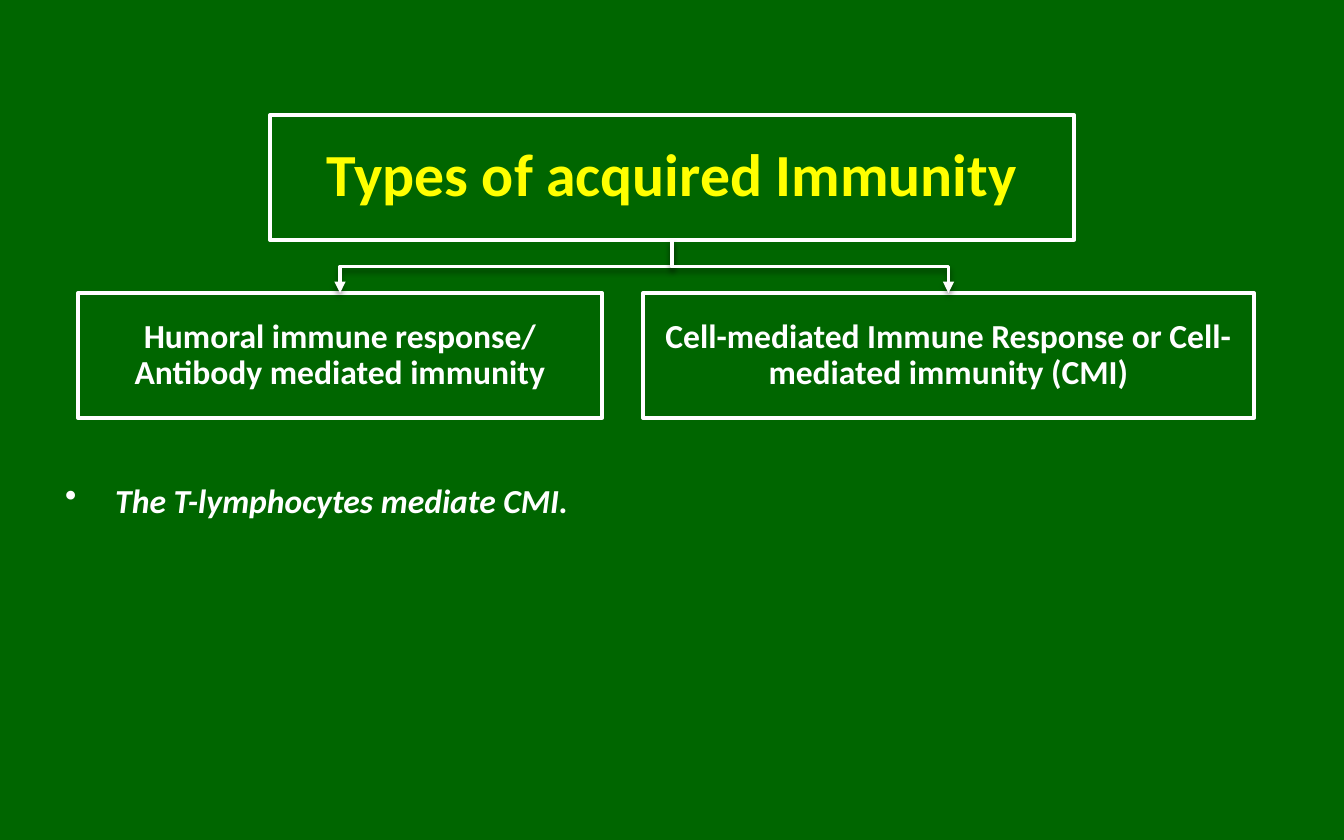
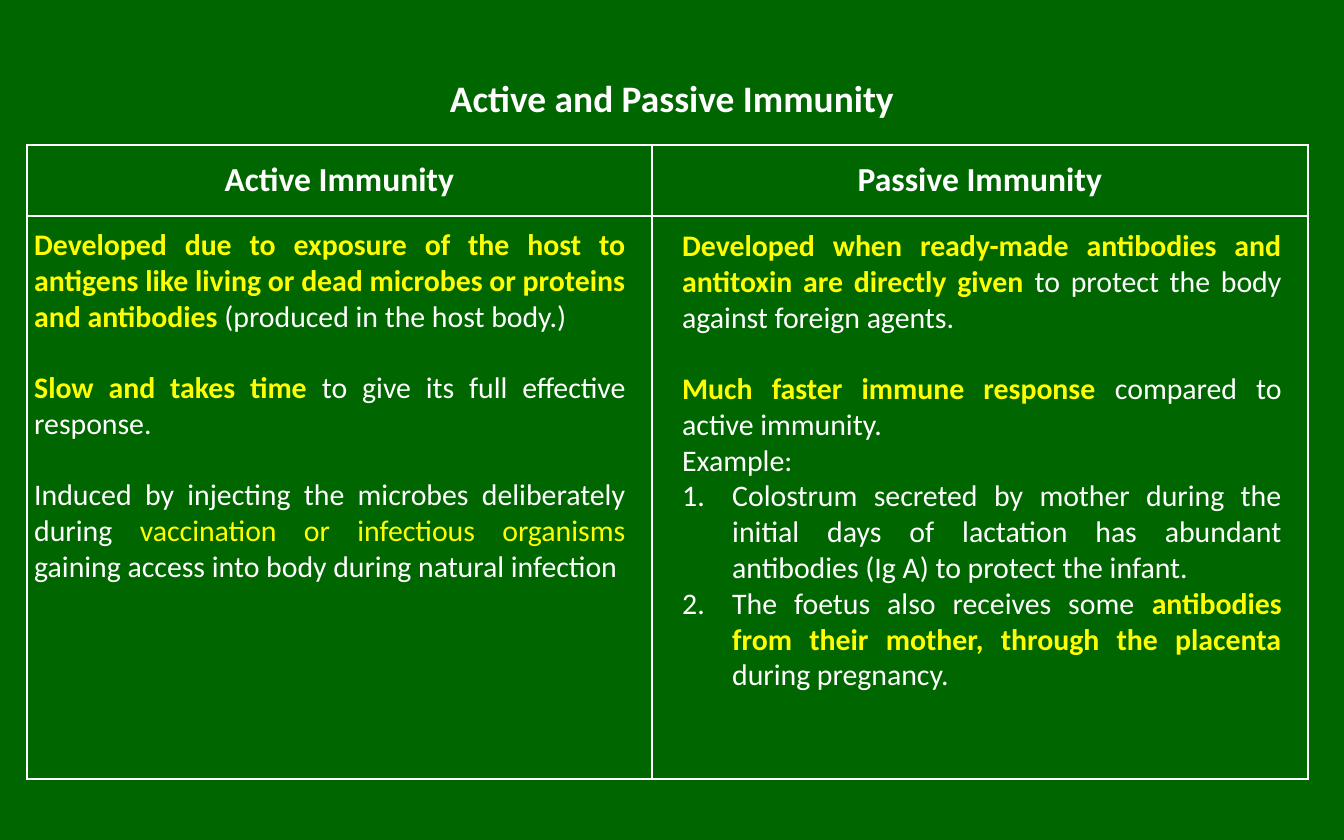
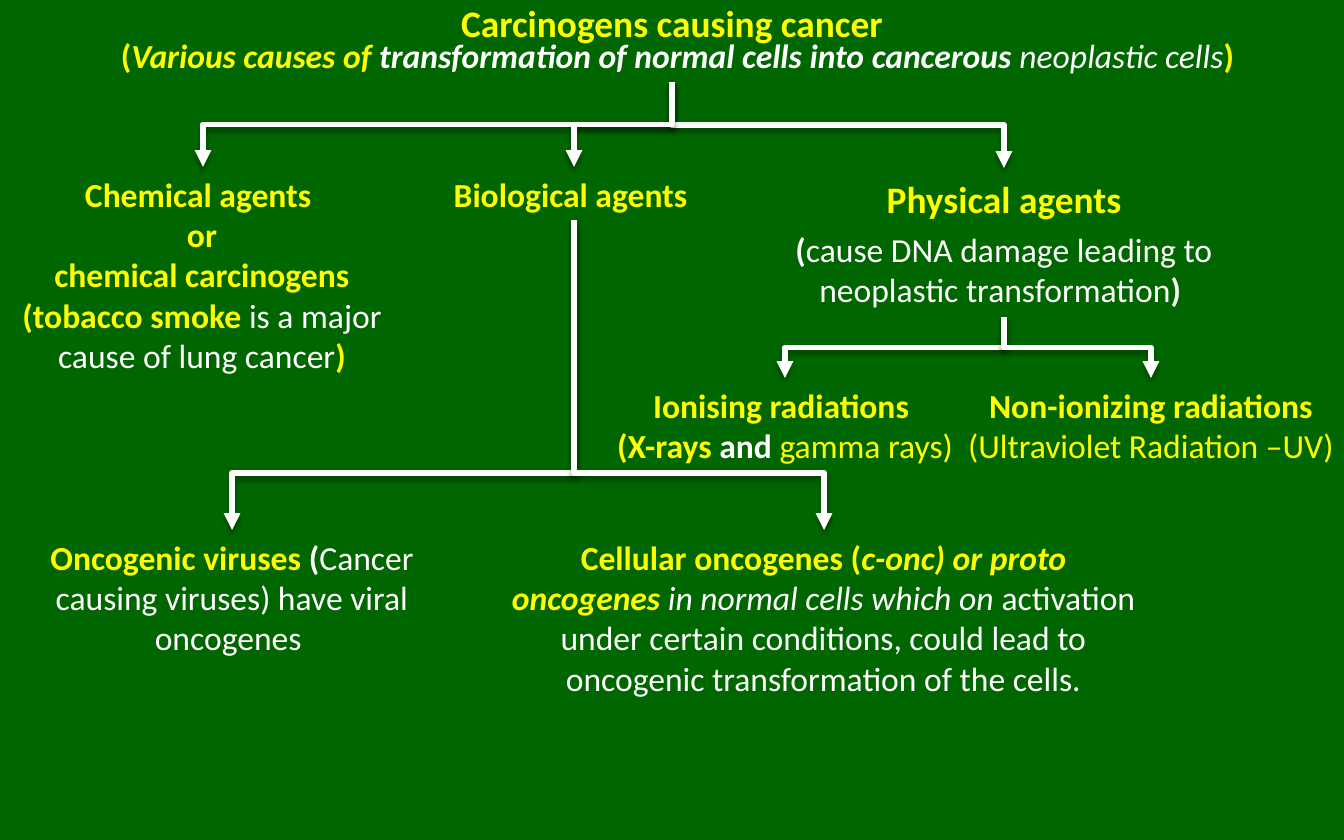
from typing import NamedTuple

from lxml import etree
from pptx import Presentation
from pptx.dml.color import RGBColor
from pptx.enum.shapes import MSO_CONNECTOR, MSO_SHAPE
from pptx.enum.text import MSO_ANCHOR, PP_ALIGN
from pptx.oxml.ns import qn
from pptx.util import Emu, Pt

ELBOW = MSO_CONNECTOR.ELBOW
RECTANGLE = MSO_SHAPE.RECTANGLE
TOP, MIDDLE = MSO_ANCHOR.TOP, MSO_ANCHOR.MIDDLE
CENTER, JUSTIFY = PP_ALIGN.CENTER, PP_ALIGN.JUSTIFY

GREEN = RGBColor(0x00, 0x66, 0x00)
YELLOW = RGBColor(0xFF, 0xFF, 0x00)
WHITE = RGBColor(0xFF, 0xFF, 0xFF)
BLACK = RGBColor(0x00, 0x00, 0x00)
FONT = "Calibri"
PAGE_WIDTH, PAGE_HEIGHT = 1344, 840
INDENT = 50


class Style(NamedTuple):
    color: RGBColor
    bold: bool = False
    italic: bool = False


KEY = Style(YELLOW, bold=True)
KEY_ITALIC = Style(YELLOW, bold=True, italic=True)
KEY_LIGHT = Style(YELLOW)
STRONG = Style(WHITE, bold=True)
STRONG_ITALIC = Style(WHITE, bold=True, italic=True)
PLAIN = Style(WHITE)
PLAIN_ITALIC = Style(WHITE, italic=True)


class Para(NamedTuple):
    spans: list
    size: int = 18
    before: int = 0
    bullet: tuple = ()


def px(length):
    return Emu(round(length * 914400 / 134.4))


def add_xml(parent, tag, **attributes):
    return etree.SubElement(parent, qn(tag), attributes)


# Shared parts

def add_page(deck):
    page = deck.slides.add_slide(deck.slide_layouts[6])
    page.background.fill.solid()
    page.background.fill.fore_color.rgb = GREEN
    return page


def style_font(font, style):
    font.color.rgb = style.color
    font.bold = style.bold
    font.italic = style.italic


def write_text(frame, paras, align=CENTER, anchor=TOP, line_spacing=None):
    frame.word_wrap = True
    frame.vertical_anchor = anchor
    for index, item in enumerate(paras):
        para = frame.add_paragraph() if index else frame.paragraphs[0]
        para.alignment = align
        if line_spacing:
            para.line_spacing = line_spacing
        if item.before:
            para.space_before = Pt(item.before)
        if item.bullet:
            tag, attributes = item.bullet
            properties = para._p.get_or_add_pPr()
            properties.set("marL", str(px(INDENT)))
            properties.set("indent", str(-px(INDENT)))
            add_xml(properties, tag, **attributes)
        para.font.name = FONT
        para.font.size = Pt(item.size)
        for text, style in item.spans:
            span = para.add_run()
            span.text = text
            style_font(para.font if len(item.spans) == 1 else span.font, style)


def add_text(page, box, paras, **layout):
    text_box = page.shapes.add_textbox(*map(px, box))
    write_text(text_box.text_frame, paras, **layout)
    return text_box


def add_branch(page, start, end, weight, bend=0.5):
    """Arrow that leaves downwards, turns sideways and ends downwards."""
    (start_x, start_y), (end_x, end_y) = start, end
    drop, reach = end_y - start_y, abs(end_x - start_x)
    # The elbow is laid out sideways about its centre, then turned
    left = (start_x + end_x - drop) / 2
    top = (start_y + end_y - reach) / 2
    branch = page.shapes.add_connector(
        ELBOW, px(left), px(top), px(left + drop), px(top + reach))
    branch.line.color.rgb = WHITE
    branch.line.width = Pt(weight)
    properties = branch._element.spPr
    frame = properties.find(qn("a:xfrm"))
    if end_x < start_x:
        frame.set("rot", "5400000")
    else:
        frame.set("rot", "16200000")
        frame.set("flipH", "1")
    guides = properties.find(qn("a:prstGeom")).find(qn("a:avLst"))
    add_xml(guides, "a:gd", name="adj1", fmla=f"val {round(bend * 100000)}")
    add_xml(properties.find(qn("a:ln")), "a:tailEnd", type="triangle")
    effects = add_xml(properties, "a:effectLst")
    shadow = add_xml(effects, "a:outerShdw", blurRad=str(Pt(3)),
                     dist=str(Pt(2)), dir="5400000", rotWithShape="0")
    color = add_xml(shadow, "a:srgbClr", val=str(BLACK))
    add_xml(color, "a:alpha", val="36000")


# Types of acquired immunity

def add_node(page, box, text, size, style):
    node = page.shapes.add_shape(RECTANGLE, *map(px, box))
    node.shadow.inherit = False
    node.fill.background()
    node.line.color.rgb = WHITE
    node.line.width = Pt(2)
    frame = node.text_frame
    frame.margin_left = frame.margin_right = px(2)
    frame.margin_top = frame.margin_bottom = px(2)
    write_text(frame, [Para([(text, style)], size)], anchor=MIDDLE,
               line_spacing=0.9)


def add_types_tree(page, box):
    left, top, width, height = box
    node_height = 125
    root_x, root_width = left + 192, 804
    child_y = top + height - node_height
    children = [
        (left, 524, "Humoral immune response/ Antibody mediated immunity"),
        (left + width - 611, 611,
         "Cell-mediated Immune Response or Cell-mediated immunity (CMI)"),
    ]
    add_node(page, (root_x, top, root_width, node_height),
             "Types of acquired Immunity", 32, KEY)
    for child_x, child_width, text in children:
        add_node(page, (child_x, child_y, child_width, node_height),
                 text, 18, STRONG)
        add_branch(page, (root_x + root_width / 2, top + node_height),
                   (child_x + child_width / 2, child_y), 2)


def build_types_page(deck):
    page = add_page(deck)
    add_text(page, (52, 473, 1292, 212), [
        Para([("The T-lymphocytes mediate CMI. ", STRONG_ITALIC)],
             bullet=("a:buChar", {"char": "•"})),
    ], align=JUSTIFY)
    add_types_tree(page, (78, 115, 1176, 303))


# Active and passive immunity

def outline_cell(cell):
    properties = cell._tc.get_or_add_tcPr()
    for side in ("a:lnL", "a:lnR", "a:lnT", "a:lnB"):
        line = add_xml(properties, side, w=str(Pt(1)))
        add_xml(add_xml(line, "a:solidFill"), "a:srgbClr", val=str(WHITE))
    cell.fill.background()


def add_comparison_table(page, box, widths, heights, headings):
    table = page.shapes.add_table(
        len(heights), len(widths), *map(px, box)).table
    table.first_row = table.horz_banding = False
    for column, width in zip(table.columns, widths):
        column.width = px(width)
    for row, height in zip(table.rows, heights):
        row.height = px(height)
    for cell in table.iter_cells():
        outline_cell(cell)
    for cell, heading in zip(table.rows[0].cells, headings):
        cell.vertical_anchor = MIDDLE
        write_text(cell.text_frame, [Para([(heading, STRONG)])],
                   anchor=MIDDLE)


def build_comparison_page(deck):
    page = add_page(deck)
    add_text(page, (67, 61, 1210, 74),
             [Para([("Active and Passive Immunity", STRONG)], 20)],
             anchor=MIDDLE)
    add_comparison_table(page, (27, 145, 1281, 634), (625, 656), (71, 563),
                         ("Active Immunity", "Passive Immunity"))
    line_gap = 19
    number = ("a:buAutoNum", {"type": "arabicPeriod"})
    active = [
        Para([("Developed due to exposure of the host to antigens like living "
               "or dead microbes or proteins and antibodies", KEY),
              (" (produced in the host body.) ", PLAIN)], 16),
        Para([("Slow and takes time ", KEY),
              ("to give its full effective response. ", PLAIN)],
             16, line_gap),
        Para([("Induced by injecting the microbes deliberately during ",
               PLAIN),
              ("vaccination or infectious organisms", KEY_LIGHT),
              (" gaining access into body during natural infection", PLAIN)],
             16, line_gap),
    ]
    passive = [
        Para([("Developed when ready-made antibodies and antitoxin are "
               "directly given ", KEY),
              ("to protect the body against foreign agents.", PLAIN)], 16),
        Para([("Much faster immune response", KEY),
              (" compared to active immunity. ", PLAIN)], 16, line_gap),
        Para([("Example:  ", PLAIN)], 16),
        Para([("Colostrum secreted by mother during the initial days of "
               "lactation has abundant antibodies (Ig A) to protect the "
               "infant.", PLAIN)], 16, bullet=number),
        Para([("The foetus also receives some ", PLAIN),
              ("antibodies from their mother, through the placenta ", KEY),
              ("during pregnancy. ", PLAIN)], 16, bullet=number),
    ]
    add_text(page, (21, 219, 618, 411), active, align=JUSTIFY)
    add_text(page, (669, 220, 626, 484), passive, align=JUSTIFY)


# Carcinogens causing cancer

def add_carcinogen_heading(page, box):
    left, top, width, height = box
    title = add_text(page, box,
                     [Para([("Carcinogens causing cancer", KEY)], 20)])
    title.text_frame.margin_top = 0
    add_text(page, (left + 11, top + 28, width - 11, height - 28), [
        Para([("(", KEY),
              ("Various causes of ", KEY_ITALIC),
              ("transformation of normal cells into cancerous ",
               STRONG_ITALIC),
              ("neoplastic cells", PLAIN_ITALIC),
              (")", KEY)]),
    ])


def add_agents(page):
    add_text(page, (770, 170, 468, 146), [
        Para([("Physical agents", KEY)], 20),
        Para([("(", STRONG),
              ("cause DNA damage leading to neoplastic transformation",
               PLAIN),
              (") ", STRONG)], before=4),
    ])
    add_text(page, (8, 167, 388, 218), [
        Para([("Chemical agents ", KEY)]),
        Para([("or", KEY)]),
        Para([(" chemical carcinogens ", KEY)]),
        Para([("(tobacco smoke ", KEY),
              ("is a major cause of lung cancer", PLAIN),
              (")", KEY)]),
    ])
    add_text(page, (413, 167, 323, 54),
             [Para([("Biological agents ", KEY)])])


def add_oncogenes(page):
    add_text(page, (12, 530, 440, 136), [
        Para([("Oncogenic viruses ", KEY),
              ("(", STRONG),
              ("Cancer causing viruses) have viral oncogenes ", PLAIN)]),
    ])
    add_text(page, (497, 530, 653, 176), [
        Para([("Cellular oncogenes (", KEY),
              ("c-onc) or proto oncogenes ", KEY_ITALIC),
              ("in normal cells which on ", PLAIN_ITALIC),
              ("activation under certain conditions, could lead to "
               "oncogenic transformation of the cells.", PLAIN)]),
    ])


def add_radiations(page):
    add_text(page, (601, 378, 368, 95), [
        Para([("Ionising radiations ", KEY)]),
        Para([("(X-rays ", KEY),
              ("and ", STRONG),
              ("gamma rays) ", KEY_LIGHT)]),
    ])
    add_text(page, (946, 378, 410, 95), [
        Para([("Non-ionizing radiations ", KEY),
              ("(Ultraviolet Radiation –UV)", KEY_LIGHT)]),
    ])


def build_carcinogens_page(deck):
    page = add_page(deck)
    add_carcinogen_heading(page, (0, 0, PAGE_WIDTH, 82))
    add_agents(page)
    add_oncogenes(page)
    add_radiations(page)
    # Each source with its bend and the points it leads to
    branches = [
        ((672, 82), 0.5, [(203, 167), (1004, 168), (574, 167)]),
        ((1004, 317), 0.5, [(785, 378), (1151, 378)]),
        ((574, 220), 0.816, [(232, 530), (824, 530)]),
    ]
    for start, bend, ends in branches:
        for end in ends:
            add_branch(page, start, end, 3, bend)


def main():
    deck = Presentation()
    deck.slide_width, deck.slide_height = px(PAGE_WIDTH), px(PAGE_HEIGHT)
    build_types_page(deck)
    build_comparison_page(deck)
    build_carcinogens_page(deck)
    deck.save("out.pptx")


if __name__ == "__main__":
    main()
